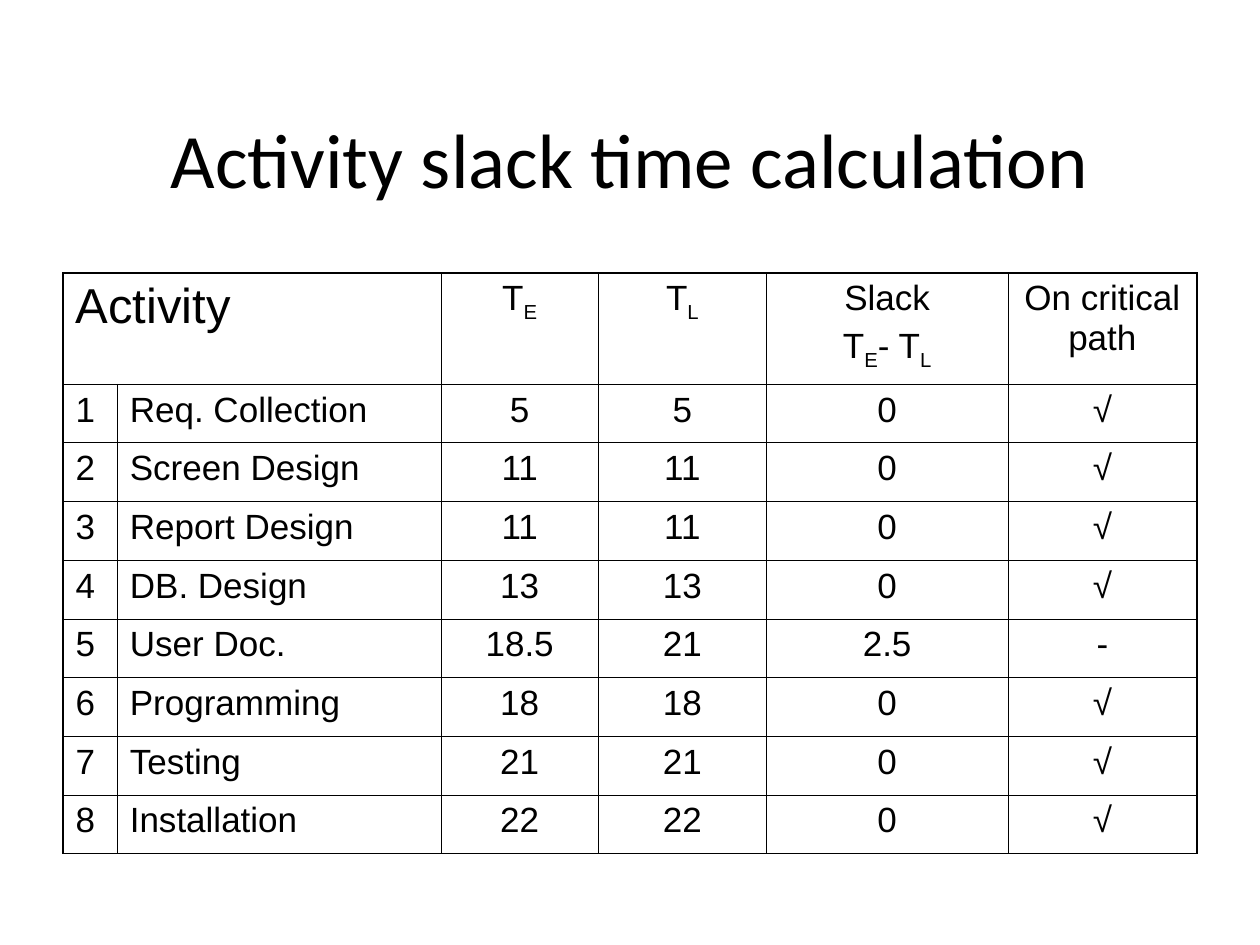
from pptx import Presentation
from pptx.dml.color import RGBColor
from pptx.enum.text import MSO_ANCHOR as Anchor, PP_ALIGN as Align
from pptx.oxml import parse_xml
from pptx.oxml.ns import nsdecls
from pptx.util import Pt

COLORS = {"ink": "000000", "background": "FFFFFF"}
OUTER_LINE, INNER_LINE = 1.08, 0.45
COLUMN_WIDTHS = [31, 185, 90, 96, 138, 108]
HEADER_HEIGHT, ROW_HEIGHT = 63.5, 33.55

# An underscore sets the next character as a subscript.
HEADERS = ["Activity", "", "T_E", "T_L", "Slack\nT_E- T_L", "On critical path"]
ACTIVITIES = [
    ("Req. Collection", "5", "5", "0", "√"),
    ("Screen Design", "11", "11", "0", "√"),
    ("Report Design", "11", "11", "0", "√"),
    ("DB. Design", "13", "13", "0", "√"),
    ("User Doc.", "18.5", "21", "2.5", "-"),
    ("Programming", "18", "18", "0", "√"),
    ("Testing", "21", "21", "0", "√"),
    ("Installation", "22", "22", "0", "√"),
]


def write_text(frame, text, font="Arial", size=20, color="ink",
               align=Align.CENTER, space_before=0):
    for index, line in enumerate(text.split("\n")):
        paragraph = frame.add_paragraph() if index else frame.paragraphs[0]
        paragraph.alignment = align
        paragraph.space_before = Pt(space_before)
        plain, *marked = line.split("_")
        pieces = [(plain, False)]
        for part in marked:
            pieces += [(part[0], True), (part[1:], False)]
        for piece, is_subscript in pieces:
            if not piece:
                continue
            run = paragraph.add_run()
            run.text = piece
            run.font.name = font
            run.font.size = Pt(size)
            run.font.color.rgb = RGBColor.from_string(COLORS[color])
            if is_subscript:
                run.font._rPr.set("baseline", "-25000")


def set_borders(cell, widths):
    """Draw the left, right, top and bottom lines, in that order."""
    properties = cell._tc.get_or_add_tcPr()
    for index, (side, width) in enumerate(zip("LRTB", widths)):
        properties.insert(index, parse_xml(
            f'<a:ln{side} {nsdecls("a")} w="{int(Pt(width))}"><a:solidFill>'
            f'<a:srgbClr val="{COLORS["ink"]}"/></a:solidFill></a:ln{side}>'))


def add_title(slide, left, top, width, height):
    box = slide.shapes.add_textbox(Pt(left), Pt(top), Pt(width), Pt(height))
    frame = box.text_frame
    frame.word_wrap = True
    frame.vertical_anchor = Anchor.MIDDLE
    write_text(frame, "Activity slack time calculation", font="Calibri", size=44)


def add_slack_table(slide, left, top):
    rows = [HEADERS] + [(str(number), *activity)
                        for number, activity in enumerate(ACTIVITIES, 1)]
    heights = [HEADER_HEIGHT] + [ROW_HEIGHT] * len(ACTIVITIES)
    table = slide.shapes.add_table(
        len(rows), len(COLUMN_WIDTHS), Pt(left), Pt(top),
        Pt(sum(COLUMN_WIDTHS)), Pt(sum(heights))).table
    table.first_row = table.horz_banding = False
    for column, width in zip(table.columns, COLUMN_WIDTHS):
        column.width = Pt(width)
    for row, height in zip(table.rows, heights):
        row.height = Pt(height)
    table.cell(0, 0).merge(table.cell(0, 1))

    last_row, last_column = len(rows) - 1, len(COLUMN_WIDTHS) - 1
    for r, values in enumerate(rows):
        for c, value in enumerate(values):
            cell = table.cell(r, c)
            cell.fill.background()
            on_edge = (c == 0, c == last_column, r == 0, r == last_row)
            set_borders(cell, [OUTER_LINE if edge else INNER_LINE
                               for edge in on_edge])
            if cell.is_spanned:
                continue
            is_large = cell.is_merge_origin
            write_text(cell.text_frame, value, size=28 if is_large else 20,
                       align=Align.LEFT if c < 2 else Align.CENTER,
                       space_before=7 if is_large else 5)


def main():
    presentation = Presentation()
    presentation.slide_width, presentation.slide_height = Pt(720), Pt(540)
    slide = presentation.slides.add_slide(presentation.slide_layouts[6])
    fill = slide.background.fill
    fill.solid()
    fill.fore_color.rgb = RGBColor.from_string(COLORS["background"])
    add_title(slide, 36, 36, 648, 108)
    add_slack_table(slide, 36, 156)
    presentation.save("out.pptx")


if __name__ == "__main__":
    main()
